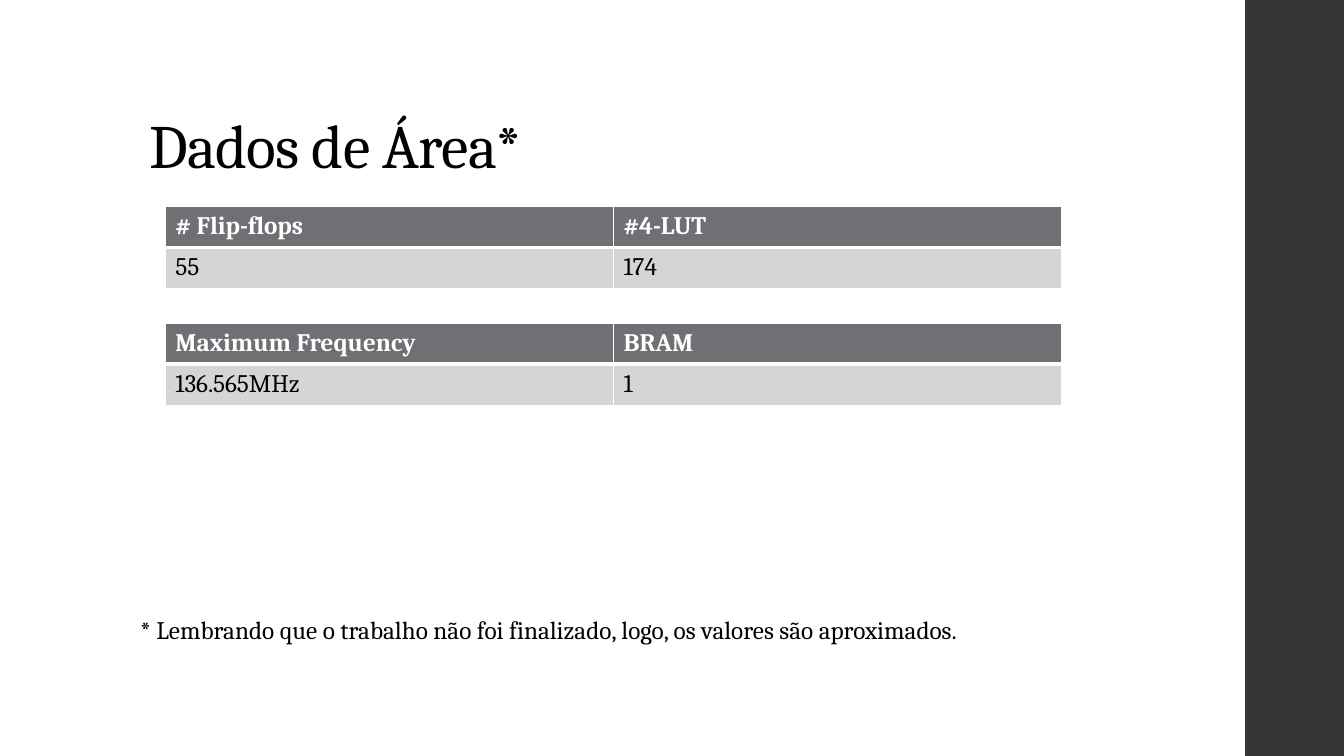
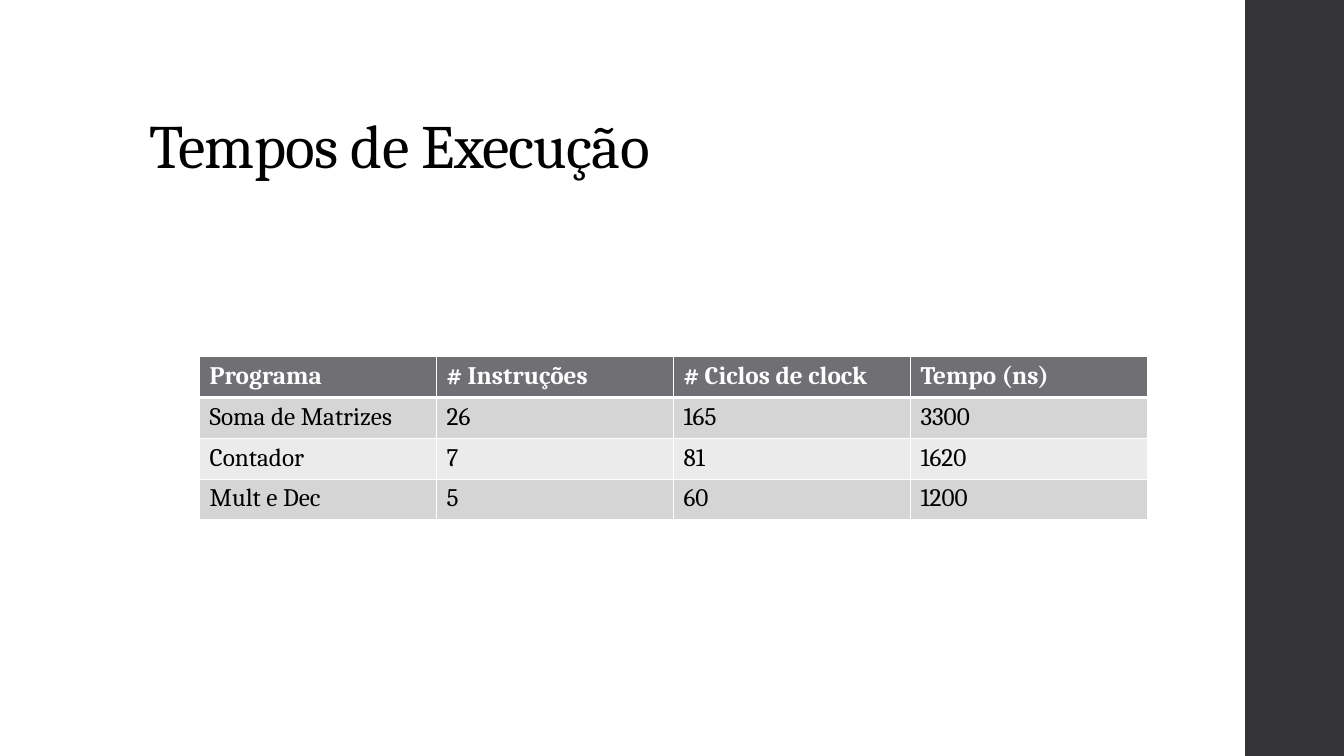
"""Build two slides of area and timing tables with a shared title style and side band."""
from lxml.etree import SubElement
from pptx import Presentation
from pptx.dml.color import RGBColor
from pptx.enum.shapes import MSO_SHAPE
from pptx.enum.text import MSO_ANCHOR, MSO_AUTO_SIZE, PP_ALIGN
from pptx.oxml import parse_xml
from pptx.oxml.ns import nsdecls, qn
from pptx.util import Inches, Pt

COLORS = {"band": "353537", "head": "6F6F74", "odd": "D5D5D6",
          "even": "EBEBEB", "ink": "000000", "paper": "FFFFFF"}
ROW = 0.405
WIDE, HIGH = 13.33, 7.5
EDGE = 12.35


def style(run, size=18, color="ink", bold=False):
    looks = {"name": "Cambria", "size": Pt(size), "bold": bold}
    for key, value in looks.items():
        setattr(run.font, key, value)
    run.font.color.rgb = RGBColor.from_string(COLORS[color])


def grid(slide, left, top, width, rows):
    frame = slide.shapes.add_table(len(rows), len(rows[0]), Inches(left), Inches(top),
                                   Inches(width), Inches(ROW * len(rows)))
    table = frame.table
    for r, row in enumerate(rows):
        table.rows[r].height = Inches(ROW)
        fill = "head" if r == 0 else "odd" if r % 2 else "even"
        for c, text in enumerate(row):
            cell = table.cell(r, c)
            cell.fill.solid()
            cell.fill.fore_color.rgb = RGBColor.from_string(COLORS[fill])
            run = cell.text_frame.paragraphs[0].add_run()
            run.text = text
            style(run, color="ink" if r else "paper", bold=r == 0)
            props = cell._tc.get_or_add_tcPr()
            for i, side in enumerate("LRTB"):
                thick = 3 if (r, side) in ((0, "B"), (1, "T")) else 1
                line = parse_xml(f'<a:ln{side} {nsdecls("a")} w="{Pt(thick)}"/>')
                solid = SubElement(line, qn("a:solidFill"))
                SubElement(solid, qn("a:srgbClr"), val=COLORS["paper"])
                props.insert(i, line)


deck = Presentation()
deck.slide_width, deck.slide_height = Inches(WIDE), Inches(HIGH)
layout = deck.slide_layouts[5]
head = layout.placeholders[0]
spot = {"left": 1.38, "top": 0.4, "width": 10.6, "height": 1.45}
for key, value in spot.items():
    setattr(head, key, Inches(value))

pages = [
    ("Dados de Área*", [
        (1.64, 2.05, 8.89, [["# Flip-flops", "#4-LUT"], ["55", "174"]]),
        (1.64, 3.21, 8.89, [["Maximum Frequency", "BRAM"], ["136.565MHz", "1"]])]),
    ("Tempos de Execução", [
        (1.98, 3.54, 9.4, [["Programa", "# Instruções", "# Ciclos de clock", "Tempo (ns)"],
                           ["Soma de Matrizes", "26", "165", "3300"],
                           ["Contador", "7", "81", "1620"],
                           ["Mult e Dec", "5", "60", "1200"]])]),
]
for name, tables in pages:
    slide = deck.slides.add_slide(layout)
    frame = slide.shapes.title.text_frame
    frame.vertical_anchor = MSO_ANCHOR.BOTTOM
    frame.auto_size = MSO_AUTO_SIZE.NONE
    para = frame.paragraphs[0]
    para.alignment, para.line_spacing = PP_ALIGN.LEFT, 0.9
    run = para.add_run()
    run.text = name
    style(run, 44)
    run.font._element.set("spc", "-50")
    for table in tables:
        grid(slide, *table)

first = deck.slides[0]
note = first.shapes.add_textbox(Inches(1.29), Inches(6.05), Inches(9.59), Inches(0.4))
note.text_frame.word_wrap = True
run = note.text_frame.paragraphs[0].add_run()
run.text = "* Lembrando que o trabalho não foi finalizado, logo, os valores são aproximados."
style(run)

band = first.shapes.add_shape(MSO_SHAPE.RECTANGLE, Inches(EDGE), 0,
                              Inches(WIDE - EDGE), Inches(HIGH))
band.shadow.inherit = False
band.fill.solid()
band.fill.fore_color.rgb = RGBColor.from_string(COLORS["band"])
band.line.fill.background()
band.element.nvSpPr.cNvPr.set("id", "99")
layout.shapes.element.insert(2, band.element)

deck.save("out.pptx")
